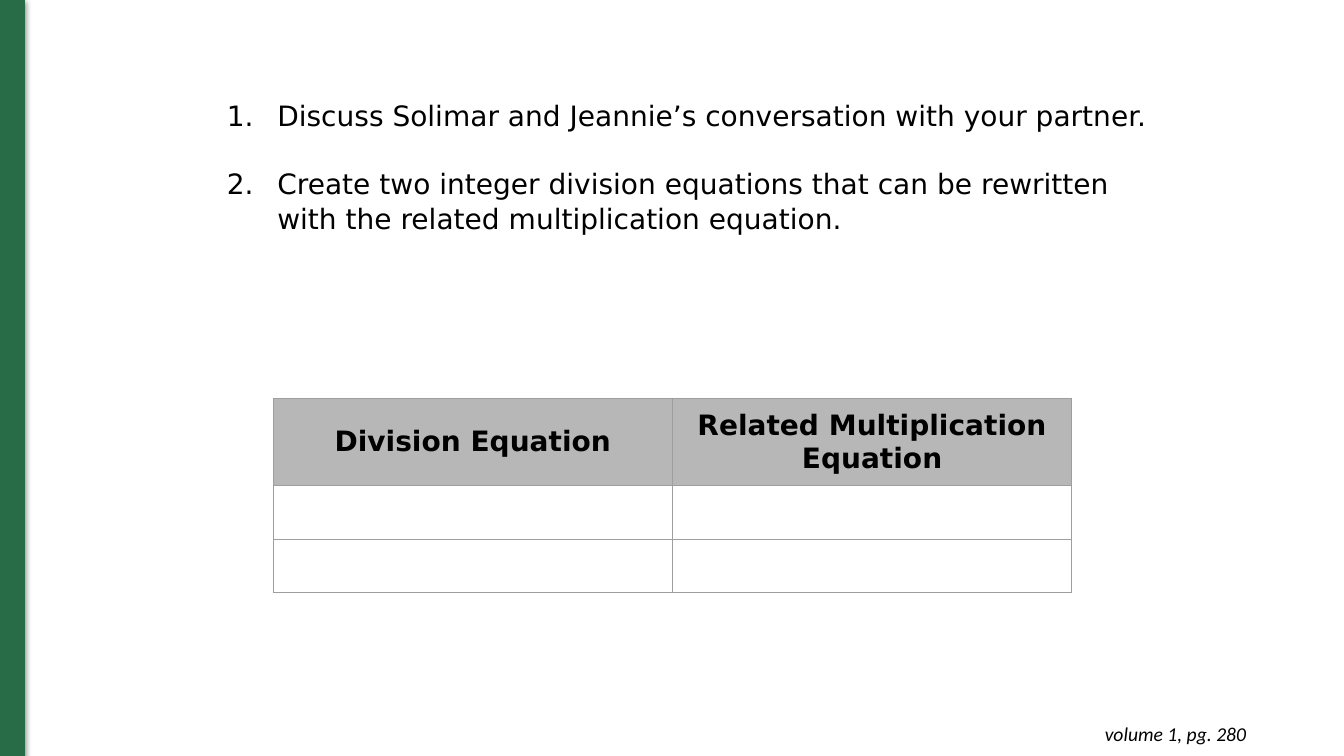
from lxml.etree import SubElement
from pptx import Presentation
from pptx.dml.color import RGBColor
from pptx.enum.shapes import MSO_SHAPE
from pptx.enum.text import MSO_ANCHOR, MSO_AUTO_SIZE, PP_ALIGN
from pptx.oxml.ns import qn
from pptx.util import Inches, Pt

COLORS = {"green": "276C46", "black": "000000", "header": "B7B7B7", "grid": "9E9E9E"}
BODY_FONT = "DejaVu Sans"
TASKS = [
    "Discuss Solimar and Jeannie’s conversation with your partner.",
    "Create two integer division equations that can be rewritten "
    "with the related multiplication equation.",
]
HEADERS = ["Division Equation", "Related Multiplication Equation"]
ROW_HEIGHTS = [0.87, 0.53, 0.53]
COLUMN_WIDTH = 3.96


def rgb(name):
    return RGBColor.from_string(COLORS[name])


def add_xml(parent, tag, **attributes):
    return SubElement(parent, qn(tag), attributes)


def add_run(paragraph, text, size=20, font=BODY_FONT, bold=False, italic=False):
    run = paragraph.add_run()
    run.text = text
    run.font.size = Pt(size)
    run.font.name = font
    run.font.bold = bold
    run.font.italic = italic
    run.font.color.rgb = rgb("black")


def set_margins(target):
    target.margin_left = target.margin_right = Inches(0.1)
    target.margin_top = target.margin_bottom = Inches(0.1)


def add_side_bar(slide):
    bar = slide.shapes.add_shape(
        MSO_SHAPE.RECTANGLE, Inches(0), Inches(0), Inches(0.24), Inches(7.51))
    bar.fill.solid()
    bar.fill.fore_color.rgb = rgb("green")
    bar.line.color.rgb = rgb("green")
    bar.line.width = Pt(0.75)
    bar.shadow.inherit = False
    effects = bar._element.spPr.find(qn("a:effectLst"))
    shadow = add_xml(effects, "a:outerShdw", blurRad=str(Pt(4.5)), dist=str(Pt(1.5)),
                     dir="5400000", algn="bl", rotWithShape="0")
    shade = add_xml(shadow, "a:srgbClr", val=COLORS["black"])
    add_xml(shade, "a:alpha", val="49000")


def number_paragraph(paragraph):
    properties = paragraph._p.get_or_add_pPr()
    properties.set("marL", str(Inches(0.5)))
    properties.set("indent", str(Inches(-0.5)))
    bullet_color = add_xml(properties, "a:buClr")
    add_xml(bullet_color, "a:srgbClr", val=COLORS["black"])
    add_xml(properties, "a:buFont", typeface=BODY_FONT)
    add_xml(properties, "a:buAutoNum", type="arabicPeriod")


def fill_task_list(tasks):
    tasks.left, tasks.top = Inches(2.15), Inches(0.86)
    tasks.width, tasks.height = Inches(9.4), Inches(1.55)
    frame = tasks.text_frame
    frame.word_wrap = True
    frame.auto_size = MSO_AUTO_SIZE.NONE
    frame.vertical_anchor = MSO_ANCHOR.TOP
    set_margins(frame)
    for index, task in enumerate(TASKS):
        paragraph = frame.add_paragraph() if index else frame.paragraphs[0]
        number_paragraph(paragraph)
        paragraph.line_spacing = 1.04
        paragraph.space_before = Pt(24 if index else 0)
        add_run(paragraph, task)


def add_borders(cell):
    properties = cell._tc.get_or_add_tcPr()
    for side in ("L", "R", "T", "B"):
        border = add_xml(properties, f"a:ln{side}", w=str(Pt(0.75)))
        fill = add_xml(border, "a:solidFill")
        add_xml(fill, "a:srgbClr", val=COLORS["grid"])


def add_equation_table(slide):
    table = slide.shapes.add_table(
        len(ROW_HEIGHTS), len(HEADERS), Inches(2.71), Inches(3.95),
        Inches(COLUMN_WIDTH * len(HEADERS)), Inches(sum(ROW_HEIGHTS))).table
    for column in table.columns:
        column.width = Inches(COLUMN_WIDTH)
    for row, height in zip(table.rows, ROW_HEIGHTS):
        row.height = Inches(height)
    for cell in table.iter_cells():
        add_borders(cell)
        cell.fill.background()
    for cell, header in zip(table.rows[0].cells, HEADERS):
        cell.fill.solid()
        cell.fill.fore_color.rgb = rgb("header")
        cell.vertical_anchor = MSO_ANCHOR.MIDDLE
        set_margins(cell)
        paragraph = cell.text_frame.paragraphs[0]
        paragraph.alignment = PP_ALIGN.CENTER
        add_run(paragraph, header, bold=True)


def add_page_reference(slide):
    frame = slide.shapes.add_textbox(
        Inches(9.58), Inches(7.06), Inches(2.88), Inches(0.44)).text_frame
    frame.word_wrap = True
    set_margins(frame)
    paragraph = frame.paragraphs[0]
    paragraph.alignment = PP_ALIGN.RIGHT
    add_run(paragraph, "volume 1, pg. 280", size=14, font="Calibri", italic=True)


def main():
    """Build the integer division slide and save it."""
    presentation = Presentation()
    presentation.slide_width = Inches(13.33)
    presentation.slide_height = Inches(7.5)
    slide = presentation.slides.add_slide(presentation.slide_layouts[1])
    title = slide.shapes.title._element
    title.getparent().remove(title)
    add_side_bar(slide)
    fill_task_list(slide.placeholders[1])
    add_equation_table(slide)
    add_page_reference(slide)
    presentation.save("out.pptx")


if __name__ == "__main__":
    main()
